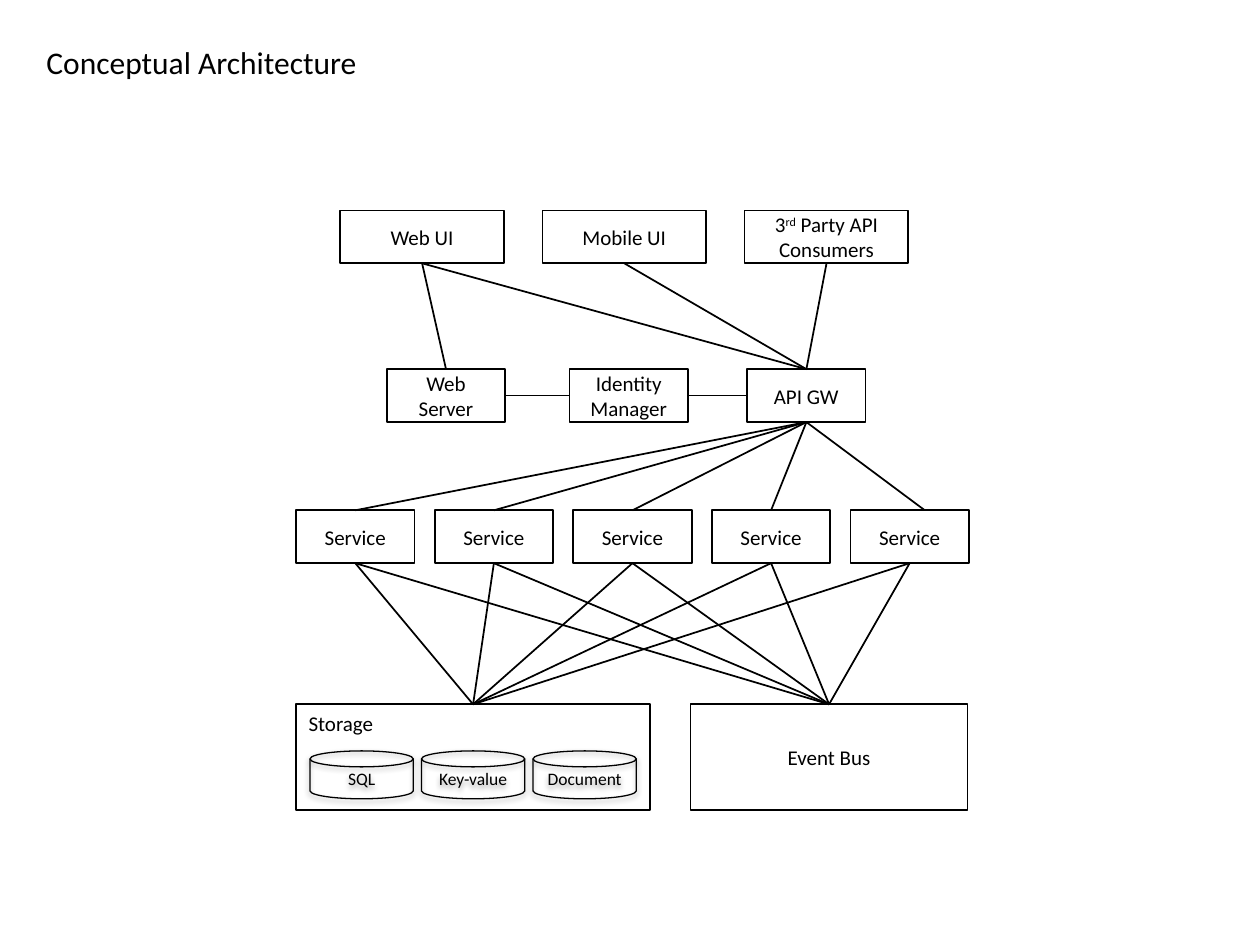
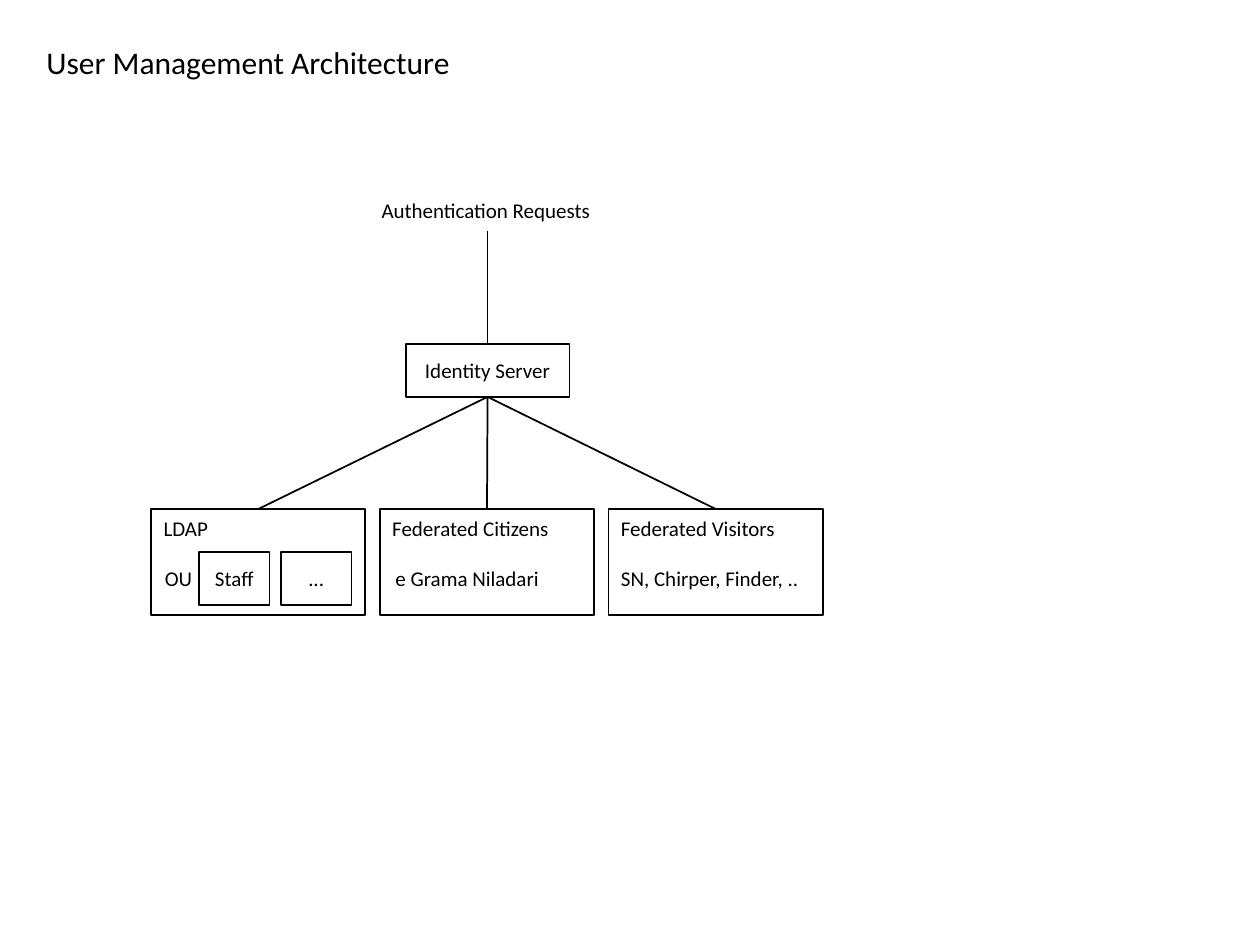
"""Build two architecture diagrams: the conceptual overview and user management."""
from dataclasses import dataclass
from typing import Optional, Union

from lxml import etree
from pptx import Presentation
from pptx import util as u
from pptx.dml import color
from pptx.enum import shapes, text
from pptx.oxml import ns
from pptx.shapes import autoshape, connector as links, group as groups
from pptx.slide import Slide

COLORS = {"ink": "000000", "paper": "FFFFFF"}
FONT = "Calibri"
BOX_HEIGHT = 0.42
PANEL_HEIGHT = 0.84
CLIENT_WIDTH = 1.3
NODE_WIDTH = 0.94
TOP, LEFT, BOTTOM, RIGHT = range(4)
Container = Union[Slide, groups.GroupShape]
Point = tuple[float, float]


@dataclass(frozen=True)
class Box:
    label: str
    left: float
    top: float
    width: float
    height: float = BOX_HEIGHT
    heading: bool = False
    filled: bool = True
    disk: bool = False


@dataclass(frozen=True)
class Label:
    content: str
    left: float
    top: float
    width: float
    height: float = 0.3
    size: float = 12


def rgb(name: str) -> color.RGBColor:
    return color.RGBColor.from_string(COLORS[name])


def add_run(paragraph, content: str, size: float, baseline: int = 0) -> None:
    run = paragraph.add_run()
    run.text = content
    run.font.name = FONT
    run.font.size = u.Pt(size)
    run.font.color.rgb = rgb("ink")
    if baseline:
        run._r.get_or_add_rPr().set("baseline", str(baseline * 1000))


def add_label(slide: Slide, label: Label) -> autoshape.Shape:
    shape = slide.shapes.add_textbox(*map(u.Inches, (label.left, label.top, label.width, label.height)))
    frame = shape.text_frame
    frame.word_wrap = False
    frame.auto_size = text.MSO_AUTO_SIZE.SHAPE_TO_FIT_TEXT
    add_run(frame.paragraphs[0], label.content, label.size)
    return shape


def add_shadow(shape: autoshape.Shape) -> None:
    effects = shape._element.spPr.find(ns.qn("a:effectLst"))
    shadow = etree.SubElement(effects, ns.qn("a:outerShdw"), blurRad=str(u.Pt(3.1)),
                              dist=str(u.Pt(1.8)), dir="5400000", rotWithShape="0")
    tint = etree.SubElement(shadow, ns.qn("a:srgbClr"), val=COLORS["ink"])
    etree.SubElement(tint, ns.qn("a:alpha"), val="35000")


def add_box(container: Container, box: Box) -> autoshape.Shape:
    kind = shapes.MSO_SHAPE.FLOWCHART_MAGNETIC_DISK if box.disk else shapes.MSO_SHAPE.RECTANGLE
    shape = container.shapes.add_shape(kind, *map(u.Inches, (box.left, box.top, box.width, box.height)))
    shape.shadow.inherit = False
    shape.line.color.rgb = rgb("ink")
    shape.line.width = u.Pt(0.75 if box.disk else 1)
    if box.filled:
        shape.fill.solid()
        shape.fill.fore_color.rgb = rgb("paper")
    else:
        shape.fill.background()
    if box.disk:
        add_shadow(shape)
    frame = shape.text_frame
    frame.word_wrap = True
    frame.vertical_anchor = text.MSO_ANCHOR.TOP if box.heading else text.MSO_ANCHOR.MIDDLE
    paragraph = frame.paragraphs[0]
    paragraph.alignment = text.PP_ALIGN.LEFT if box.heading else text.PP_ALIGN.CENTER
    for index, part in enumerate(box.label.split("^")):
        add_run(paragraph, part, 10 if box.disk else 12, baseline=30 if index % 2 else 0)
    return shape


def add_link(slide: Slide, start: autoshape.Shape, start_side: int,
             end: Optional[autoshape.Shape] = None, end_side: int = TOP,
             end_point: Point = (0, 0)) -> links.Connector:
    connector = slide.shapes.add_connector(shapes.MSO_CONNECTOR.STRAIGHT, 0, 0, *map(u.Inches, end_point))
    connector.begin_connect(start, start_side)
    if end is not None:
        connector.end_connect(end, end_side)
    connector.line.color.rgb = rgb("ink")
    connector.line.width = u.Pt(1)
    etree.SubElement(connector._element.spPr, ns.qn("a:effectLst"))
    return connector


def add_titled_slide(presentation, title: str, width: float) -> Slide:
    slide = presentation.slides.add_slide(presentation.slide_layouts[6])
    add_label(slide, Label(title, 0.27, 0.29, width, 0.4, 18))
    return slide


def build_conceptual(presentation) -> None:
    slide = add_titled_slide(presentation, "Conceptual Architecture", 2.69)
    web_ui, mobile_ui, consumers = [
        add_box(slide, Box(name, 2.7 + 1.605 * index, 1.67, CLIENT_WIDTH))
        for index, name in enumerate(("Web UI", "Mobile UI", "3^rd^ Party API Consumers"))]
    web_server, identity, gateway = [
        add_box(slide, Box(name, left, 2.93, NODE_WIDTH))
        for name, left in (("Web Server", 3.07), ("Identity Manager", 4.52), ("API GW", 5.93))]
    services = [add_box(slide, Box("Service", 2.35 + 1.1 * index, 4.05, NODE_WIDTH)) for index in range(5)]

    group = slide.shapes.add_group_shape()
    storage = add_box(group, Box("Storage", 2.35, 5.59, 2.81, PANEL_HEIGHT, heading=True, filled=False))
    for index, name in enumerate(("SQL", "Key-value", "Document")):
        add_box(group, Box(name, 2.46 + 0.885 * index, 5.96, 0.82, 0.38, filled=False, disk=True))
    event_bus = add_box(slide, Box("Event Bus", 5.48, 5.59, 2.2, PANEL_HEIGHT))

    add_link(slide, web_ui, BOTTOM, web_server)
    for client in (web_ui, mobile_ui, consumers):
        add_link(slide, client, BOTTOM, gateway)
    add_link(slide, web_server, RIGHT, identity, LEFT)
    add_link(slide, gateway, LEFT, identity, RIGHT)
    for service in services[:-1]:
        add_link(slide, gateway, BOTTOM, service)
    add_link(slide, gateway, BOTTOM, end_point=(7.34, 4.05))
    for target in (storage, event_bus):
        for service in services:
            add_link(slide, service, BOTTOM, target)


def build_user_management(presentation) -> None:
    slide = add_titled_slide(presentation, "User Management Architecture", 3.44)
    requests = add_label(slide, Label("Authentication Requests", 2.93, 1.52, 1.88, 0.31))
    server = add_box(slide, Box("Identity Server", 3.22, 2.73, CLIENT_WIDTH))
    stores = [
        add_box(slide, Box(name, 1.2 + 1.815 * index, 4.04, 1.7, PANEL_HEIGHT, heading=True))
        for index, name in enumerate(("LDAP", "Federated Citizens", "Federated Visitors"))]
    for index, name in enumerate(("Staff", "...")):
        add_box(slide, Box(name, 1.58 + 0.65 * index, 4.38, 0.56))
    for content, left, width in (("OU", 1.21, 0.42), ("e Grama Niladari", 3.04, 1.35),
                                 ("SN, Chirper, Finder, ..", 4.83, 1.65)):
        add_label(slide, Label(content, left, 4.44, width))

    add_link(slide, requests, BOTTOM, server)
    for store in stores:
        add_link(slide, server, BOTTOM, store)


def main() -> None:
    presentation = Presentation()
    presentation.slide_width = u.Inches(10)
    presentation.slide_height = u.Inches(7.5)
    build_conceptual(presentation)
    build_user_management(presentation)
    presentation.save("out.pptx")


if __name__ == "__main__":
    main()
